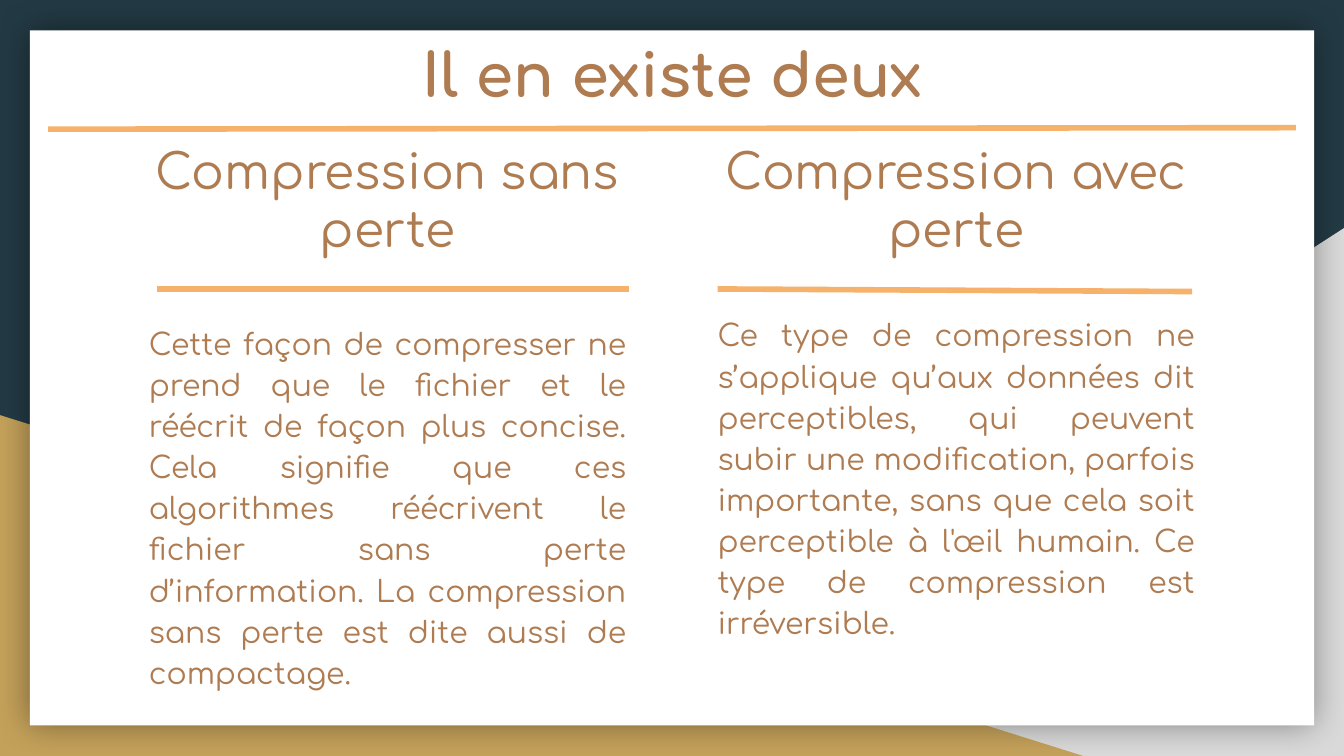
from dataclasses import dataclass

from lxml import etree
from pptx import Presentation
from pptx.dml.color import RGBColor
from pptx.enum.shapes import MSO_CONNECTOR, MSO_SHAPE
from pptx.enum.text import MSO_ANCHOR, MSO_AUTO_SIZE, PP_ALIGN
from pptx.oxml import parse_xml
from pptx.oxml.ns import nsdecls, qn
from pptx.util import Pt


@dataclass(frozen=True)
class Theme:
    font: str = "Comfortaa"
    night: str = "233A44"
    silver: str = "D9D9D9"
    gold: str = "C4A15A"
    card: str = "FFFFFF"
    text: str = "AF7B51"
    rule: str = "F6B26B"
    title_size: float = 32.2
    heading_size: float = 26
    body_size: float = 16
    rule_width: float = 3
    inset: float = 7.2


THEME = Theme()
SLIDE_BOX = (0, 0, 720, 405)

COLUMNS = [
    dict(
        box=(72.7, 68.4, 270, 303.1),
        heading="Compression sans perte",
        body="Cette façon de compresser ne prend que le fichier et le réécrit de "
             "façon plus concise. Cela signifie que ces algorithmes réécrivent le "
             "fichier sans perte d’information. La compression sans perte est dite "
             "aussi de compactage.",
        body_top=95.8,
        rule=(11.5, 86.4, 264.3, 86.4),
        space_after=0,
    ),
    dict(
        box=(377.3, 68.4, 270, 303.1),
        heading="Compression avec perte",
        body="Ce type de compression ne s’applique qu’aux données dit perceptibles, "
             "qui peuvent subir une modification, parfois importante, sans que cela "
             "soit perceptible à l'œil humain. Ce type de compression est "
             "irréversible.",
        body_top=91.4,
        rule=(7.2, 86.4, 261.4, 87.8),
        space_after=12,
    ),
]


def points(values):
    return [Pt(value) for value in values]


def add_panel(page, preset, box, color):
    panel = page.shapes.add_shape(preset, *points(box))
    panel.shadow.inherit = False
    panel.fill.solid()
    panel.fill.fore_color.rgb = RGBColor.from_string(color)
    panel.line.fill.background()
    return panel


def add_rule(page, start, end):
    rule = page.shapes.add_connector(MSO_CONNECTOR.STRAIGHT, *points(start + end))
    rule.line.color.rgb = RGBColor.from_string(THEME.rule)
    rule.line.width = Pt(THEME.rule_width)
    etree.SubElement(rule._element.spPr, qn("a:effectLst"))


def write_text(holder, text, size, bold=False, **para_format):
    frame = holder.text_frame
    frame_format = dict(word_wrap=True, auto_size=MSO_AUTO_SIZE.NONE,
                        vertical_anchor=MSO_ANCHOR.TOP)
    for side in ("left", "top", "right", "bottom"):
        frame_format["margin_" + side] = Pt(THEME.inset)
    for name, value in frame_format.items():
        setattr(frame, name, value)
    para = frame.paragraphs[0]
    for name, value in para_format.items():
        setattr(para, name, value)
    span = para.add_run()
    span.text = text
    for name, value in dict(name=THEME.font, size=Pt(size), bold=bold).items():
        setattr(span.font, name, value)
    span.font.color.rgb = RGBColor.from_string(THEME.text)


def add_backdrop(page, box):
    """Two corner triangles behind a white card with a soft shadow."""
    left, top, width, height = box
    right, bottom = left + width, top + height
    silver = add_panel(page, MSO_SHAPE.RIGHT_TRIANGLE,
                       (right - 437.8, bottom - 282.8, 437.8, 282.8), THEME.silver)
    silver._element.spPr.find(qn("a:xfrm")).set("flipH", "1")
    add_panel(page, MSO_SHAPE.RIGHT_TRIANGLE,
              (left, bottom - 182.6, 580.3, 182.6), THEME.gold)
    card = add_panel(page, MSO_SHAPE.RECTANGLE,
                     (left + 16, top + 16.3, width - 32, height - 32.6), THEME.card)
    card._element.spPr.find(qn("a:effectLst")).append(parse_xml(
        f'<a:outerShdw {nsdecls("a")} blurRad="{Pt(18)}" dist="0" dir="0" '
        'algn="ctr" rotWithShape="0"><a:srgbClr val="000000">'
        '<a:alpha val="40000"/></a:srgbClr></a:outerShdw>'))


def place_title(page, box, text):
    left, top, width, height = box
    title = page.shapes.title
    # The placeholder exists first, so bring it in front of the backdrop.
    page.shapes._spTree.append(title._element)
    for name, value in zip(("left", "top", "width", "height"), points(box)):
        setattr(title, name, value)
    write_text(title, text, THEME.title_size, bold=True, alignment=PP_ALIGN.CENTER)
    add_rule(page, (left + 1.3, top + 56.2), (left + width - 1.3, top + 55.4))


def add_column(page, box, heading, body, body_top, rule, space_after):
    """Heading, rule and justified text; offsets are measured from the box."""
    left, top, width, height = box
    heading_box = page.shapes.add_textbox(*points((left, top, width, 77.8)))
    write_text(heading_box, heading, THEME.heading_size, alignment=PP_ALIGN.CENTER)
    body_box = page.shapes.add_textbox(
        *points((left, top + body_top, width, height - body_top)))
    write_text(body_box, body, THEME.body_size, alignment=PP_ALIGN.JUSTIFY,
               line_spacing=1.15, space_after=Pt(space_after))
    x1, y1, x2, y2 = rule
    add_rule(page, (left + x1, top + y1), (left + x2, top + y2))


def main():
    deck = Presentation()
    deck.slide_width, deck.slide_height = points(SLIDE_BOX[2:])
    page = deck.slides.add_slide(deck.slide_layouts.get_by_name("Title Only"))
    page.background.fill.solid()
    page.background.fill.fore_color.rgb = RGBColor.from_string(THEME.night)
    add_backdrop(page, SLIDE_BOX)
    place_title(page, (24.5, 13, 671, 45.4), "Il en existe deux")
    for column in COLUMNS:
        add_column(page, **column)
    deck.save("out.pptx")


if __name__ == "__main__":
    main()
